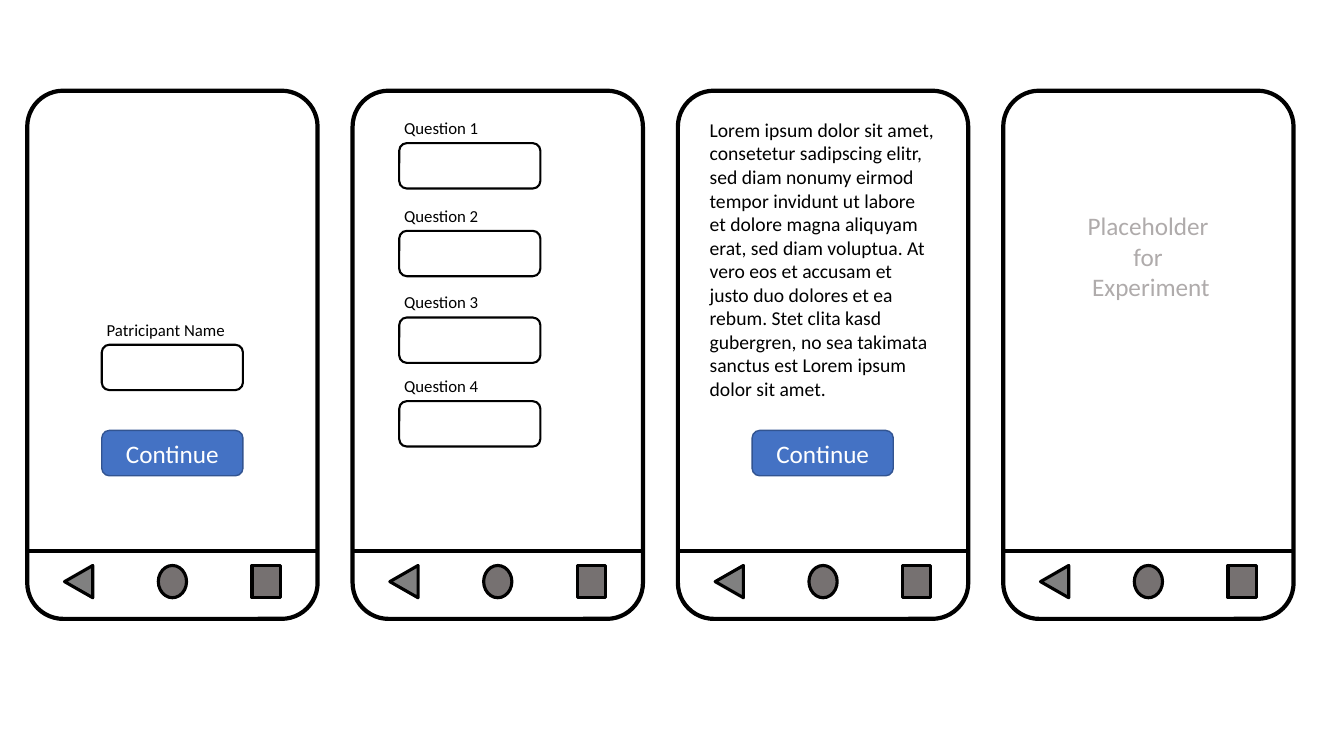
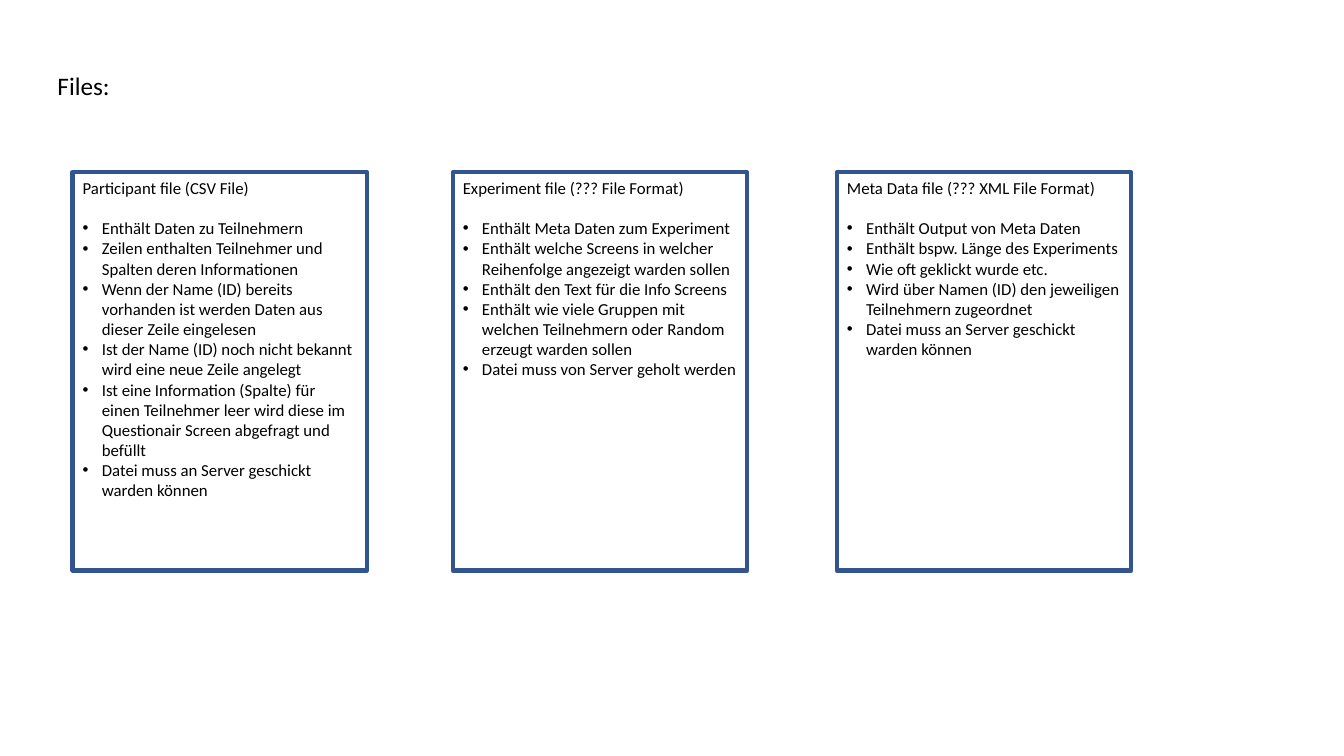
"""Builds phone screen mockups and an overview of the data files."""
import pptx
import pptx.util
import pptx.dml.color
import pptx.enum.shapes
import pptx.enum.text
import pptx.oxml
import pptx.oxml.ns

Inches = pptx.util.Inches
Pt = pptx.util.Pt
RGBColor = pptx.dml.color.RGBColor
Kind = pptx.enum.shapes.MSO_SHAPE
Anchor = pptx.enum.text.MSO_ANCHOR
Align = pptx.enum.text.PP_ALIGN

BLACK = RGBColor(0x00, 0x00, 0x00)
WHITE = RGBColor(0xFF, 0xFF, 0xFF)
BLUE = RGBColor(0x44, 0x72, 0xC4)
NAVY = RGBColor(0x32, 0x54, 0x91)
GREY = RGBColor(0x80, 0x80, 0x80)
DARK = RGBColor(0x76, 0x71, 0x71)
PALE = RGBColor(0xAF, 0xAB, 0xAB)

FONT = {"name": "Calibri", "bold": False}
FRAME = {
    "auto_size": pptx.enum.text.MSO_AUTO_SIZE.NONE,
    "word_wrap": True,
    "vertical_anchor": Anchor.TOP,
    "margin_left": Inches(0.1),
    "margin_right": Inches(0.1),
    "margin_top": Inches(0.05),
    "margin_bottom": Inches(0.05),
}
PARA = {"alignment": Align.LEFT, "line_spacing": 1.0,
        "space_before": Pt(0), "space_after": Pt(0)}
SPACE = pptx.oxml.ns.nsdecls("a")


def apply(item, look):
    for key, value in look.items():
        setattr(item, key, value)


class Deck:
    def __init__(self):
        self.show = pptx.Presentation()
        self.show.slide_width = Inches(13.33)
        self.show.slide_height = Inches(7.5)
        self.slide = None

    def page(self, layout):
        self.slide = self.show.slides.add_slide(self.show.slide_layouts[layout])

    def place(self, item, box):
        names = ("left", "top", "width", "height")
        apply(item, dict(zip(names, map(Inches, box))))

    def label(self, item, lines, size, color=BLACK, frame={}, para={}):
        area = item.text_frame
        area.text = "\n".join(lines)
        apply(area, FRAME | frame)
        for part in area.paragraphs:
            apply(part, PARA | para)
            for run in part.runs:
                apply(run.font, FONT | {"size": Pt(size)})
                run.font.color.rgb = color

    def edge(self, item, color, width):
        item.line.color.rgb = color
        item.line.width = Pt(width)

    def shape(self, kind, box, fill=None, line=BLACK, width=1.5, group=None):
        home = group or self.slide
        item = home.shapes.add_shape(kind, *map(Inches, box))
        item.shadow.inherit = False
        if fill is None:
            item.fill.background()
        else:
            item.fill.solid()
            item.fill.fore_color.rgb = fill
        self.edge(item, line, width)
        return item

    def rule(self, group, left, right, top):
        item = group.shapes.add_connector(
            pptx.enum.shapes.MSO_CONNECTOR.STRAIGHT,
            *map(Inches, (left, top, right, top)))
        self.edge(item, BLACK, 3)
        item._element.spPr.append(
            pptx.oxml.parse_xml(f"<a:effectLst {SPACE}/>"))

    def text(self, box, lines, size, **style):
        item = self.slide.shapes.add_textbox(*map(Inches, box))
        self.label(item, lines, size, **style)

    def field(self, left, top, name, width):
        self.shape(Kind.ROUNDED_RECTANGLE, (left, top, 1.4, 0.45))
        self.text((left - 0.05, top - 0.3, width, 0.3), [name], 12,
                  frame={"word_wrap": False})

    def button(self, left, top, name):
        item = self.shape(Kind.ROUNDED_RECTANGLE, (left, top, 1.4, 0.45),
                          BLUE, NAVY, 1)
        self.label(item, [name], 18, WHITE,
                   {"vertical_anchor": Anchor.MIDDLE},
                   {"alignment": Align.CENTER})

    def phone(self, left):
        group = self.slide.shapes.add_group_shape()
        body = self.shape(Kind.ROUNDED_RECTANGLE, (left, 0.9, 2.88, 5.24),
                          width=3, group=group)
        body.adjustments[0] = 0.124
        back = self.shape(Kind.ISOSCELES_TRIANGLE,
                          (left + 0.35, 5.63, 0.32, 0.28), GREY,
                          width=2.25, group=group)
        back.rotation = 270
        for kind, shift in ((Kind.OVAL, 1.3), (Kind.RECTANGLE, 2.23)):
            self.shape(kind, (left + shift, 5.61, 0.28, 0.32), DARK,
                       width=2.25, group=group)
        self.rule(group, left, left + 2.88, 5.47)

    def title(self, box, name):
        item = self.slide.shapes.title
        self.place(item, box)
        self.label(item, [name], 18, frame={"word_wrap": False})

    def bullet(self, part, char=None):
        props = part._p.get_or_add_pPr()
        inset = Inches(0.19) if char else 0
        props.set("marL", str(inset))
        props.set("indent", str(-inset))
        marks = ([f'<a:buFont {SPACE} typeface="Arial"/>',
                  f'<a:buChar {SPACE} char="{char}"/>']
                 if char else [f"<a:buNone {SPACE}/>"])
        for mark in marks:
            props.append(pptx.oxml.parse_xml(mark))

    def card(self, item, left, head, points):
        self.place(item, (left, 1.71, 2.92, 3.95))
        self.edge(item, NAVY, 3)
        self.label(item, [head, *points], 12)
        first, *rest = item.text_frame.paragraphs
        first.space_after = Pt(14.6)
        self.bullet(first)
        for part in rest:
            self.bullet(part, "•")


LOREM = (
    "Lorem ipsum dolor sit amet, consetetur sadipscing elitr, sed diam nonumy "
    "eirmod tempor invidunt ut labore et dolore magna aliquyam erat, sed diam "
    "voluptua. At vero eos et accusam et justo duo dolores et ea rebum. Stet "
    "clita kasd gubergren, no sea takimata sanctus est Lorem ipsum dolor sit "
    "amet.")

CARDS = [
    (0.72, "Participant file (CSV File)", [
        "Enthält Daten zu Teilnehmern",
        "Zeilen enthalten Teilnehmer und Spalten deren Informationen",
        "Wenn der Name (ID) bereits vorhanden ist werden Daten aus dieser "
        "Zeile eingelesen",
        "Ist der Name (ID) noch nicht bekannt wird eine neue Zeile angelegt",
        "Ist eine Information (Spalte) für einen Teilnehmer leer wird diese "
        "im Questionair Screen abgefragt und befüllt",
        "Datei muss an Server geschickt warden können"]),
    (4.49, "Experiment file (??? File Format)", [
        "Enthält Meta Daten zum Experiment",
        "Enthält welche Screens in welcher Reihenfolge angezeigt warden sollen",
        "Enthält den Text für die Info Screens",
        "Enthält wie viele Gruppen mit welchen Teilnehmern oder Random "
        "erzeugt warden sollen",
        "Datei muss von Server geholt werden"]),
    (8.3, "Meta Data file (??? XML File Format)", [
        "Enthält Output von Meta Daten",
        "Enthält bspw. Länge des Experiments",
        "Wie oft geklickt wurde etc.",
        "Wird über Namen (ID) den jeweiligen Teilnehmern zugeordnet",
        "Datei muss an Server geschickt warden können"]),
]

deck = Deck()

deck.page(6)
deck.field(1.01, 3.42, "Patricipant Name", 1.39)
for count, top in enumerate((1.42, 2.29, 3.15, 3.98), 1):
    deck.field(3.96, top, f"Question {count}", 0.95)
deck.text((6.94, 1.12, 2.44, 2.93), [LOREM], 14)
deck.text((10.68, 2.04, 1.47, 1.01), ["Placeholder ", "for ", "Experiment"],
          18, color=PALE, frame={"word_wrap": False},
          para={"alignment": Align.CENTER})
for left in (1.01, 7.46):
    deck.button(left, 4.27, "Continue")
for step in range(4):
    deck.phone(0.27 + step * 9.68 / 3)

deck.page(4)
deck.title((0.47, 0.65, 0.73, 0.4), "Files:")
*slots, spare = list(deck.slide.placeholders)[1:]
for slot, card in zip(slots, CARDS):
    deck.card(slot, *card)
spare._element.getparent().remove(spare._element)

deck.show.save("out.pptx")
